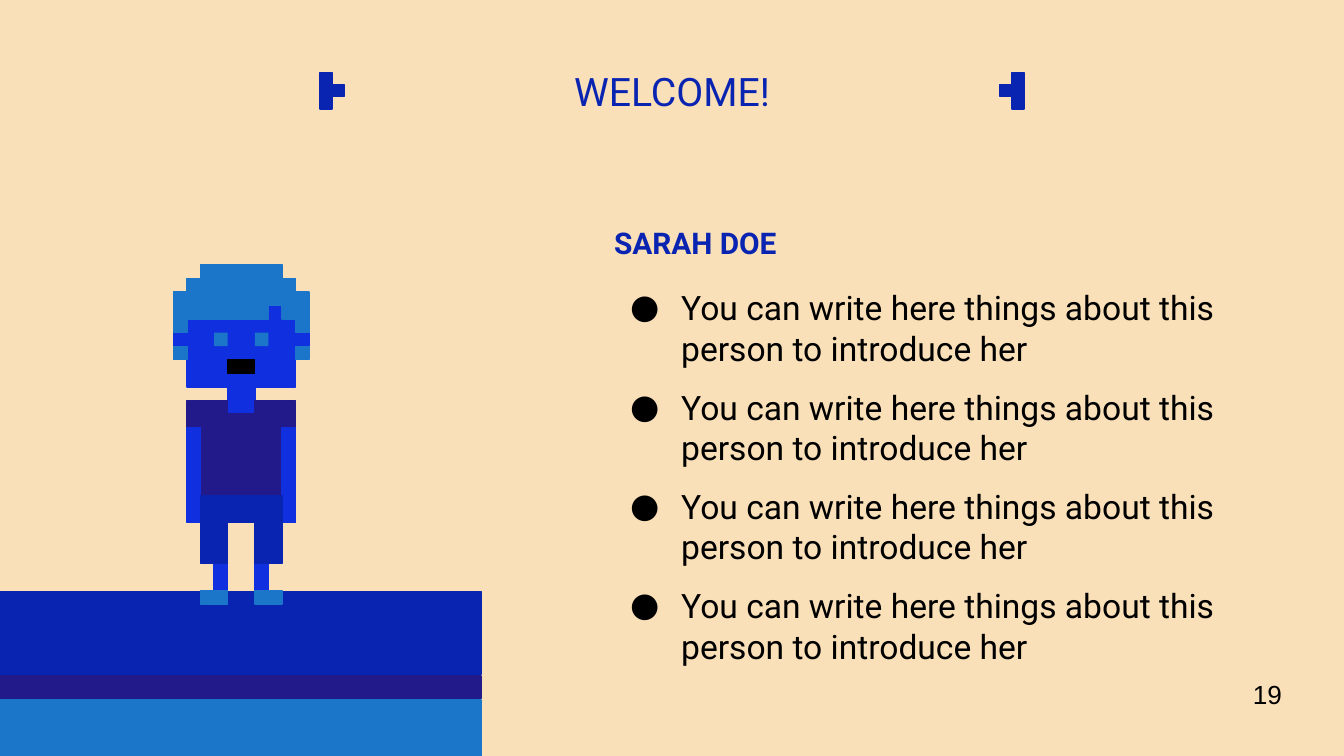
from lxml import etree
from pptx import Presentation
from pptx.dml.color import RGBColor
from pptx.enum.shapes import MSO_SHAPE
from pptx.enum.text import MSO_ANCHOR, MSO_AUTO_SIZE, PP_ALIGN
from pptx.oxml.ns import qn
from pptx.util import Inches, Pt

RECT = MSO_SHAPE.RECTANGLE
TOP, MIDDLE, BOTTOM = MSO_ANCHOR.TOP, MSO_ANCHOR.MIDDLE, MSO_ANCHOR.BOTTOM
LEFT, CENTER = PP_ALIGN.LEFT, PP_ALIGN.CENTER
NO_FIT = MSO_AUTO_SIZE.NONE
TITLE_ONLY = 5

COLORS = {
    "sand": "FAE0B8", "navy": "0A24B2", "indigo": "221A8A",
    "sky": "1B76C9", "skin": "1030DF", "black": "000000",
}
WIDTH = 10
HEIGHT = WIDTH * 9 / 16
FIGURE_X, FIGURE_Y = 1.29, 1.97
PIXEL = 1.01 / 10
MARK_PIXEL, MARK_Y = 0.09, 0.54
BAR = [(0, 0), (0, 1), (0, 2)]

FACE = [(7, 3), (7, 4), (1, 4), (1, 5), (0, 5), (0, 6), (1, 6), (1, 9), (4, 9),
        (4, 11), (6, 11), (6, 9), (9, 9), (9, 6), (10, 6), (10, 5), (9, 5),
        (9, 4), (8, 4), (8, 3)]
SHIRT = [(1, 10), (1, 12), (2, 12), (2, 17), (8, 17), (8, 12), (9, 12), (9, 10),
         (6, 10), (6, 11), (4, 11), (4, 10)]
HAIR = [(2, 0), (2, 1), (1, 1), (1, 2), (0, 2), (0, 5), (1, 5), (1, 4), (7, 4),
        (7, 3), (8, 3), (8, 4), (9, 4), (9, 5), (10, 5), (10, 2), (9, 2), (9, 1),
        (8, 1), (8, 0)]
SHORTS = [(2, 17), (2, 22), (4, 22), (4, 19), (6, 19), (6, 22), (8, 22), (8, 17)]


def color(name):
    """Return the palette colour with this name."""
    return RGBColor.from_string(COLORS[name])


def paint(s, name, outlined=True):
    """Fill a shape and give it a thin line of the same colour."""
    s.shadow.inherit = False
    s.fill.solid()
    s.fill.fore_color.rgb = color(name)
    if outlined:
        s.line.color.rgb = color(name)
        s.line.width = Pt(0.75)
    else:
        s.line.fill.background()


def add_block(shapes, x, y, w, h, name, outlined=True):
    """Add a filled rectangle, in inches."""
    s = shapes.add_shape(RECT, Inches(x), Inches(y), Inches(w), Inches(h))
    paint(s, name, outlined)


def add_pixels(shapes, col, row, cols, rows, name, outlined=True):
    """Add a rectangle on the pixel grid of the figure."""
    add_block(shapes, FIGURE_X + col * PIXEL, FIGURE_Y + row * PIXEL,
              cols * PIXEL, rows * PIXEL, name, outlined)


def add_outline(shapes, points, name):
    """Add a closed outline on the pixel grid of the figure."""
    builder = shapes.build_freeform(*points[0], scale=Inches(PIXEL))
    builder.add_line_segments(points[1:], close=True)
    paint(builder.convert_to_shape(Inches(FIGURE_X), Inches(FIGURE_Y)), name)


def add_ground(slide):
    """Add the stacked bands that the figure stands on."""
    shapes = slide.shapes.add_group_shape().shapes
    for y, h, name in [(4.4, 0.62, "navy"), (5.03, 0.17, "indigo"),
                       (5.21, HEIGHT - 5.21, "sky")]:
        add_block(shapes, 0, y, 3.58, h, name)


def add_figure(slide):
    """Add the pixel person."""
    shapes = slide.shapes.add_group_shape().shapes
    for col in (6, 3):
        add_pixels(shapes, col, 22, 1, 2, "skin")
    add_outline(shapes, FACE, "skin")
    add_outline(shapes, SHIRT, "indigo")
    for col in (6, 3):
        add_pixels(shapes, col, 5, 1, 1, "sky", outlined=False)
    add_pixels(shapes, 4, 7, 2, 1, "black")
    for col in (8, 1):
        add_pixels(shapes, col, 12, 1, 7, "skin")
    for col in (6, 2):
        add_pixels(shapes, col, 24, 2, 1, "sky")
    add_outline(shapes, HAIR, "sky")
    add_outline(shapes, SHORTS, "navy")
    for col in (0, 9):
        add_pixels(shapes, col, 6, 1, 1, "sky")


def add_mark(slide, x, nub):
    """Add a bar of three squares with one more beside the middle."""
    shapes = slide.shapes.add_group_shape().shapes
    for col, row in BAR + [(nub, 1)]:
        add_block(shapes, x + col * MARK_PIXEL, MARK_Y + row * MARK_PIXEL,
                  MARK_PIXEL, MARK_PIXEL, "navy")


def add_bullet(p):
    """Give a paragraph a round black bullet and a hanging indent."""
    pPr = p._p.get_or_add_pPr()
    pPr.set("marL", str(Inches(0.5)))
    pPr.set("indent", str(Inches(-0.38)))
    tint = etree.SubElement(pPr, qn("a:buClr"))
    etree.SubElement(tint, qn("a:srgbClr"), val=COLORS["black"])
    etree.SubElement(pPr, qn("a:buFont"), typeface="Roboto")
    etree.SubElement(pPr, qn("a:buChar"), char="●")


def write(s, box, lines, size, name, anchor=TOP, align=LEFT, font="Roboto",
          inset=0.1, bold=False, wrap=True, bullets=False):
    """Place a text shape and write its paragraphs."""
    s.left, s.top, s.width, s.height = map(Inches, box)
    tf = s.text_frame
    frame = {"word_wrap": wrap, "auto_size": NO_FIT, "vertical_anchor": anchor}
    sides = ("left", "top", "right", "bottom")
    frame.update({f"margin_{side}": Inches(inset) for side in sides})
    for key, value in frame.items():
        setattr(tf, key, value)
    for i, line in enumerate(lines):
        p = tf.add_paragraph() if i else tf.paragraphs[0]
        p.alignment = align
        if bullets:
            add_bullet(p)
        if i:
            p.space_before = Pt(10)
        r = p.add_run()
        r.text = line
        for key, value in {"name": font, "size": Pt(size), "bold": bold}.items():
            setattr(r.font, key, value)
        r.font.color.rgb = color(name)


def add_text(slide, box, lines, size, name, **options):
    """Add a text box with its paragraphs."""
    s = slide.shapes.add_textbox(0, 0, 0, 0)
    write(s, box, lines, size, name, **options)


def main():
    """Build the slide and save it."""
    prs = Presentation()
    prs.slide_width, prs.slide_height = Inches(WIDTH), Inches(HEIGHT)
    slide = prs.slides.add_slide(prs.slide_layouts[TITLE_ONLY])
    slide.background.fill.solid()
    slide.background.fill.fore_color.rgb = color("sand")

    add_ground(slide)
    add_figure(slide)
    write(slide.shapes.title, (0.34, 0.32, 9.32, 0.63), ["WELCOME!"], 21, "navy",
          anchor=BOTTOM, align=CENTER)
    add_text(slide, (4.47, 0.69, 3.39, 1.35), ["SARAH DOE"], 16, "navy",
             anchor=BOTTOM, bold=True)
    add_mark(slide, 2.38, 1)
    add_mark(slide, 7.53, -1)
    line = "You can write here things about this person to introduce her"
    add_text(slide, (4.47, 2.15, 4.69, 2.79), [line] * 4, 18, "black",
             anchor=MIDDLE, bullets=True)
    add_text(slide, (9.21, 5, 0.44, 0.34), ["19"], 14, "black", font="Arial",
             inset=0.05, align=CENTER, wrap=False)
    prs.save("out.pptx")


if __name__ == "__main__":
    main()
